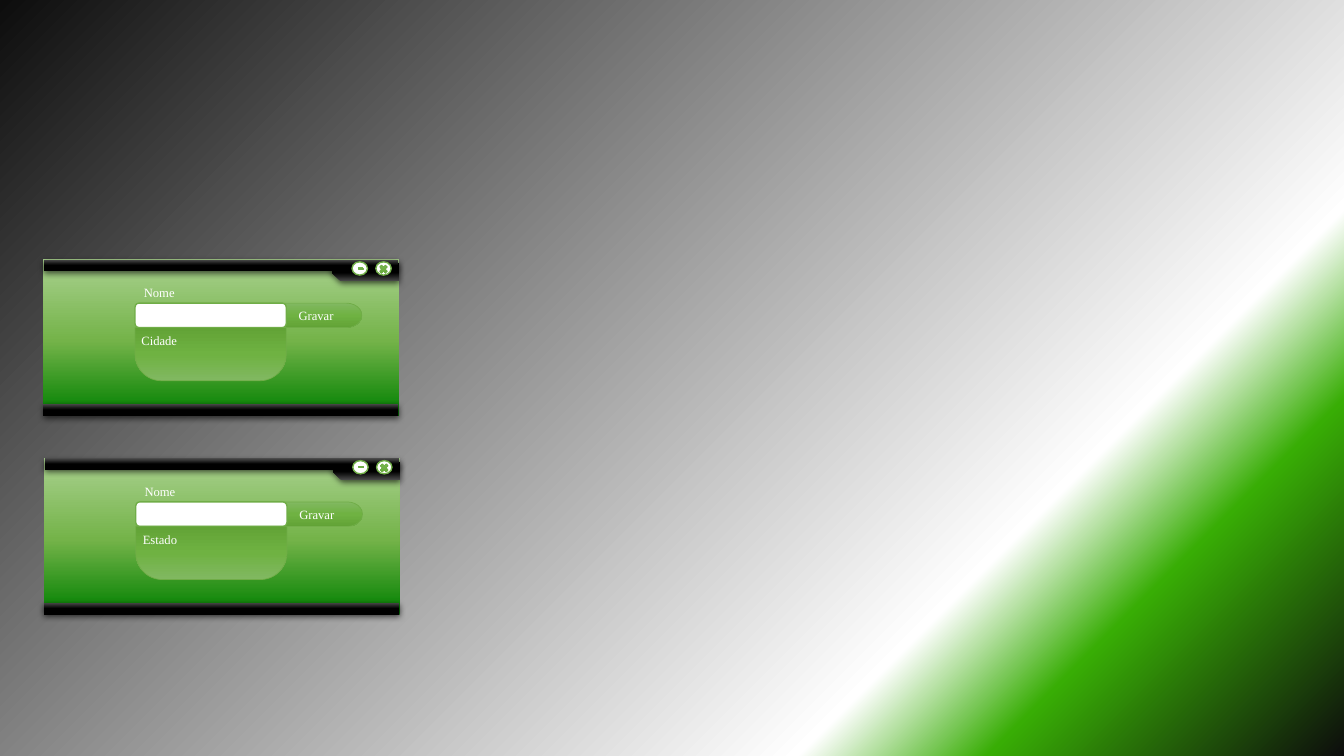
from lxml.etree import SubElement
from pptx import Presentation
from pptx.dml.color import RGBColor
from pptx.enum.shapes import MSO_SHAPE
from pptx.enum.text import MSO_AUTO_SIZE, PP_ALIGN
from pptx.oxml.ns import qn
from pptx.util import Pt

WHITE = RGBColor(0xFF, 0xFF, 0xFF)
BLACK = RGBColor(0x00, 0x00, 0x00)
NEAR_BLACK = RGBColor(0x0D, 0x0D, 0x0D)
CHARCOAL = RGBColor(0x4B, 0x4B, 0x4B)
BRIGHT_GREEN = RGBColor(0x38, 0xAD, 0x05)
DARK_GREEN = RGBColor(0x00, 0x80, 0x00)
MID_GREEN = RGBColor(0x74, 0xB3, 0x49)
PALE_GREEN = RGBColor(0xA9, 0xD1, 0x8E)
LINE_GREEN = RGBColor(0x70, 0xAD, 0x47)
BUTTON_TOP = RGBColor(0x81, 0xB8, 0x61)
BUTTON_MIDDLE = RGBColor(0x6F, 0xB2, 0x42)
BUTTON_BOTTOM = RGBColor(0x62, 0xA3, 0x36)

# Gradients: clockwise angle, then stops as (percent, colour)
BACKDROP = (45, [(0, NEAR_BLACK), (74, WHITE), (83, BRIGHT_GREEN), (100, NEAR_BLACK)])
WINDOW_GREEN = (270, [(0, DARK_GREEN), (48, MID_GREEN), (100, PALE_GREEN)])
BAR_BLACK = (90, [(0, CHARCOAL), (50, BLACK), (100, BLACK)])
BUTTON_GREEN = (90, [(0, BUTTON_TOP), (50, BUTTON_MIDDLE), (100, BUTTON_BOTTOM)])


class WindowSlide:
    """Holds the label style, the slide and the window being drawn."""

    label_frame = {"word_wrap": True, "auto_size": MSO_AUTO_SIZE.SHAPE_TO_FIT_TEXT}
    label_font = {"name": "Times New Roman", "size": Pt(9)}

    def __init__(self, presentation):
        self.slide = presentation.slides.add_slide(presentation.slide_layouts[6])
        self.gradient(self.slide.background.fill, self.slide._element, BACKDROP)

    def start_window(self, left, top):
        self.left, self.top = left, top
        self.shapes = self.slide.shapes.add_group_shape().shapes

    def place(self, left, top, width, height):
        return Pt(self.left + left), Pt(self.top + top), Pt(width), Pt(height)

    def gradient(self, fill, element, style):
        angle, stops = style
        fill.gradient()
        fill.gradient_angle = (360 - angle) % 360
        stop_list = element.find(".//" + qn("a:gsLst"))
        for stop in list(stop_list):
            stop_list.remove(stop)
        for percent, color in stops:
            stop = SubElement(stop_list, qn("a:gs"), pos=str(percent * 1000))
            SubElement(stop, qn("a:srgbClr"), val=str(color))

    def shape(self, kind, box, fill, line_width=None, flip=None, adjustments=()):
        shape = self.shapes.add_shape(kind, *self.place(*box))
        shape.shadow.inherit = False
        for index, value in enumerate(adjustments):
            shape.adjustments[index] = value
        if flip:
            shape._element.spPr.find(qn("a:xfrm")).set(flip, "1")
        if isinstance(fill, RGBColor):
            shape.fill.solid()
            shape.fill.fore_color.rgb = fill
        else:
            self.gradient(shape.fill, shape._element, fill)
        if line_width:
            shape.line.color.rgb = LINE_GREEN
            shape.line.width = Pt(line_width)
        else:
            shape.line.fill.background()
        return shape

    def bar(self, kind, box, rotation=0, adjustments=()):
        shape = self.shape(kind, box, BAR_BLACK, adjustments=adjustments)
        shape.rotation = rotation
        effects = shape._element.spPr.find(qn("a:effectLst"))
        shadow = SubElement(effects, qn("a:outerShdw"), blurRad=str(Pt(4.5)),
                            dist=str(Pt(1.5)), dir="5400000", rotWithShape="0")
        color = SubElement(shadow, qn("a:srgbClr"), val=str(BLACK))
        SubElement(color, qn("a:alpha"), val="63000")

    def label(self, text, left, top):
        frame = self.shapes.add_textbox(*self.place(left, top, 58.5, 18)).text_frame
        for name, value in self.label_frame.items():
            setattr(frame, name, value)
        paragraph = frame.paragraphs[0]
        paragraph.text = text
        paragraph.alignment = PP_ALIGN.CENTER
        for name, value in self.label_font.items():
            setattr(paragraph.font, name, value)
        paragraph.font.color.rgb = WHITE

    def window(self, left, top, caption):
        self.start_window(left, top)
        # Body and black bars
        self.shape(MSO_SHAPE.RECTANGLE, (0, 0, 254, 112.5), WINDOW_GREEN)
        self.bar(MSO_SHAPE.SNIP_1_RECTANGLE, (206, 3, 48, 13), 180, [0.5])
        self.bar(MSO_SHAPE.RECTANGLE, (0, 103.5, 253.5, 8.5))
        self.bar(MSO_SHAPE.RECTANGLE, (0.5, 0.5, 253, 8))
        # Minimise and close buttons
        for button_left in (220.5, 237.5):
            self.shape(MSO_SHAPE.OVAL, (button_left, 2, 11, 9.5), WHITE, 1)
        self.shape(MSO_SHAPE.MATH_MINUS, (224, 5, 5, 3.5), BUTTON_GREEN, 0.5)
        self.shape(MSO_SHAPE.MATH_MULTIPLY, (239, 3, 8, 8.5), BUTTON_GREEN, 0.5)
        # Name field with its save button
        self.shape(MSO_SHAPE.FLOWCHART_STORED_DATA, (161.5, 31.5, 66, 17.5),
                   BUTTON_GREEN, 0.5, "flipH")
        self.shape(MSO_SHAPE.ROUNDED_RECTANGLE, (65.5, 31.5, 108, 17.5), WHITE, 1)
        self.label("Gravar", 165.5, 31.5)
        self.label("Nome", 53.5, 15)
        # Panel below the field
        self.shape(MSO_SHAPE.ROUND_2_SAME_RECTANGLE, (65.5, 49, 108, 38),
                   BUTTON_GREEN, 0.5, "flipV", [0.5, 0])
        self.label(caption, 53.5, 49.5)


def main():
    presentation = Presentation()
    presentation.slide_width, presentation.slide_height = Pt(960), Pt(540)
    slide = WindowSlide(presentation)
    slide.window(31, 185, "Cidade")
    slide.window(31.5, 327, "Estado")
    presentation.save("out.pptx")


if __name__ == "__main__":
    main()
